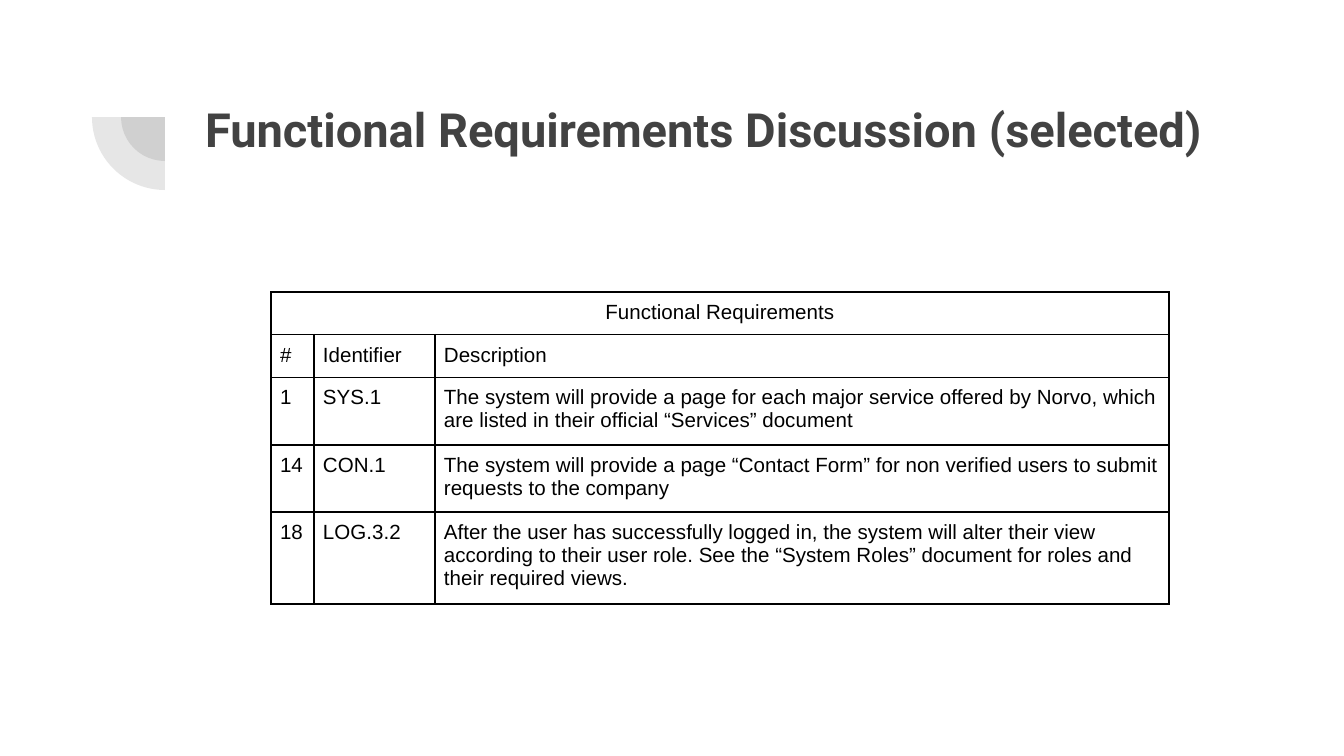
from lxml import etree
from pptx import Presentation
from pptx.dml.color import RGBColor
from pptx.enum.shapes import MSO_SHAPE
from pptx.enum.text import MSO_ANCHOR, PP_ALIGN
from pptx.oxml.ns import qn
from pptx.util import Pt

EMU_PER_PX = 914400 / 134.4
PIE = MSO_SHAPE.PIE
TOP = MSO_ANCHOR.TOP
LEFT, CENTER = PP_ALIGN.LEFT, PP_ALIGN.CENTER
CHARCOAL = RGBColor(0x42, 0x42, 0x42)
BLACK = RGBColor(0, 0, 0)

CAPTION = "Functional Requirements"
REQUIREMENTS = [
    ("#", "Identifier", "Description"),
    ("1", "SYS.1", "The system will provide a page for each major service offered by Norvo, "
     "which are listed in their official “Services” document"),
    ("14", "CON.1", "The system will provide a page “Contact Form” for non verified users to submit "
     "requests to the company"),
    ("18", "LOG.3.2", "After the user has successfully logged in, the system will alter their view "
     "according to their user role. See the “System Roles” document for roles and "
     "their required views."),
]
COLUMN_WIDTHS = (43, 121, 734)
ROW_HEIGHTS = (42, 42, 64, 64, 87)


def px(length):
    """Turn px into EMU."""
    return round(length * EMU_PER_PX)


def set_margins(holder, margin):
    """Give a text frame or cell the same margin on all sides."""
    holder.margin_left = holder.margin_right = px(margin)
    holder.margin_top = holder.margin_bottom = px(margin)


def write(paragraph, text, font_name, size, color, bold=False, align=LEFT):
    """Fill a paragraph with text in one style."""
    paragraph.text = text
    paragraph.alignment = align
    font = paragraph.font
    font.name, font.size, font.bold = font_name, Pt(size), bold
    font.color.rgb = color


def add_corner_mark(slide, right, top, radii):
    """Draw translucent quarter discs that share the top right corner."""
    for radius in radii:
        quarter = slide.shapes.add_shape(
            PIE, px(right - radius), px(top - radius), px(2 * radius), px(2 * radius))
        quarter.adjustments[0] = 108
        quarter.adjustments[1] = 162
        quarter.rotation = 270
        quarter.shadow.inherit = False
        quarter.line.fill.background()
        quarter.fill.solid()
        quarter.fill.fore_color.rgb = CHARCOAL
        tint = quarter.fill._xPr.find(".//" + qn("a:srgbClr"))
        etree.SubElement(tint, qn("a:alpha"), val="13000")


def add_title(slide, left, top, width, height):
    """Place the slide heading in its box."""
    frame = slide.shapes.add_textbox(px(left), px(top), px(width), px(height)).text_frame
    frame.word_wrap = True
    frame.vertical_anchor = TOP
    set_margins(frame, 13)
    write(frame.paragraphs[0], "Functional Requirements Discussion (selected)",
          "Roboto", 25.2, CHARCOAL, bold=True)


def style_cell(cell):
    """Give a cell thin black borders, no fill and even margins."""
    properties = cell._tc.get_or_add_tcPr()
    for side in ("a:lnL", "a:lnR", "a:lnT", "a:lnB"):
        border = etree.SubElement(properties, qn(side), w=str(Pt(1)))
        fill = etree.SubElement(border, qn("a:solidFill"))
        etree.SubElement(fill, qn("a:srgbClr"), val=str(BLACK))
    cell.fill.background()
    cell.vertical_anchor = TOP
    set_margins(cell, 9)


def add_requirements(slide, left, top):
    """Build the requirements table below a caption row."""
    table = slide.shapes.add_table(
        len(ROW_HEIGHTS), len(COLUMN_WIDTHS), px(left), px(top),
        px(sum(COLUMN_WIDTHS)), px(sum(ROW_HEIGHTS))).table
    table.first_row = table.horz_banding = False
    for column, width in zip(table.columns, COLUMN_WIDTHS):
        column.width = px(width)
    for row, height in zip(table.rows, ROW_HEIGHTS):
        row.height = px(height)
    for cell in table.iter_cells():
        style_cell(cell)
    caption = table.cell(0, 0)
    caption.merge(table.cell(0, len(COLUMN_WIDTHS) - 1))
    write(caption.text_frame.paragraphs[0], CAPTION, "Arial", 11, BLACK, align=CENTER)
    for row_index, requirement in enumerate(REQUIREMENTS, start=1):
        for column_index, text in enumerate(requirement):
            paragraph = table.cell(row_index, column_index).text_frame.paragraphs[0]
            write(paragraph, text, "Arial", 11, BLACK)


def main():
    """Build and save the slide."""
    deck = Presentation()
    deck.slide_width, deck.slide_height = px(1344), px(756)
    slide = deck.slides.add_slide(deck.slide_layouts[6])
    add_corner_mark(slide, 165, 117, (44, 73))
    add_title(slide, 192, 87, 1034, 146)
    add_requirements(slide, 271, 292)
    deck.save("out.pptx")


if __name__ == "__main__":
    main()
